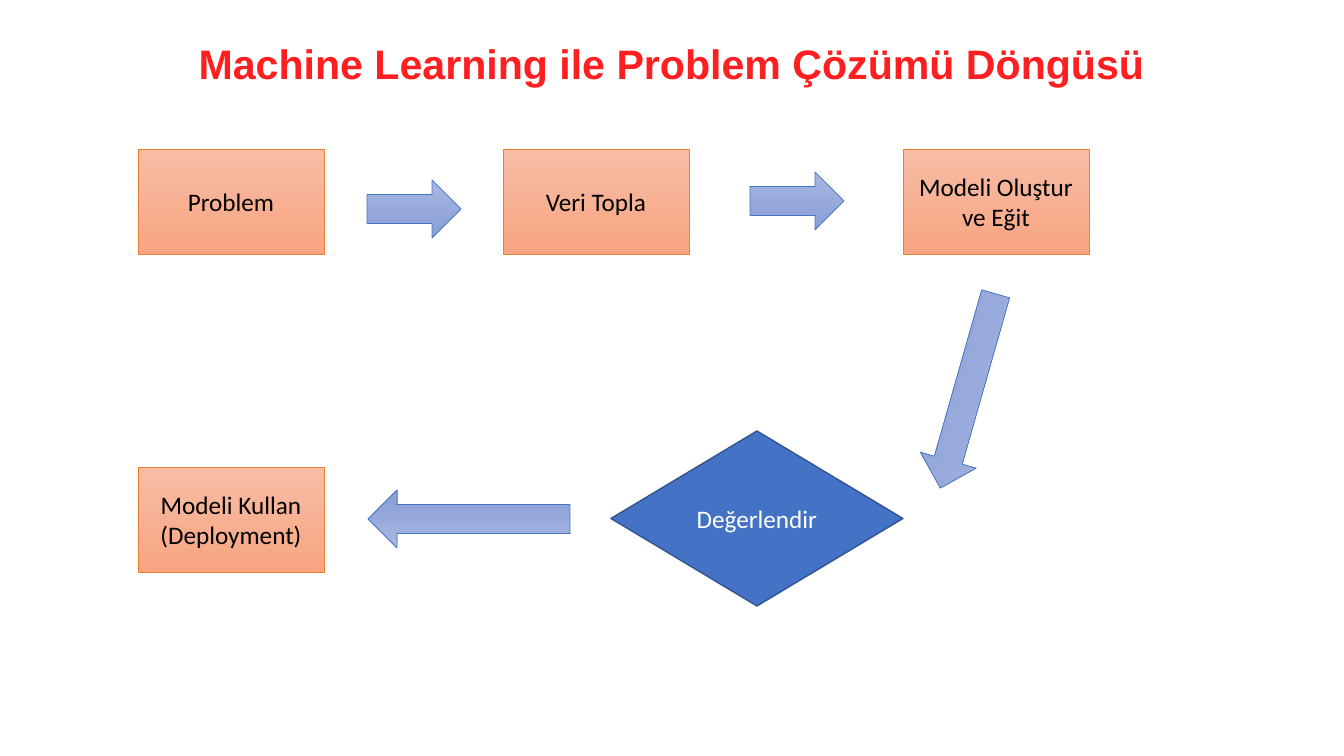
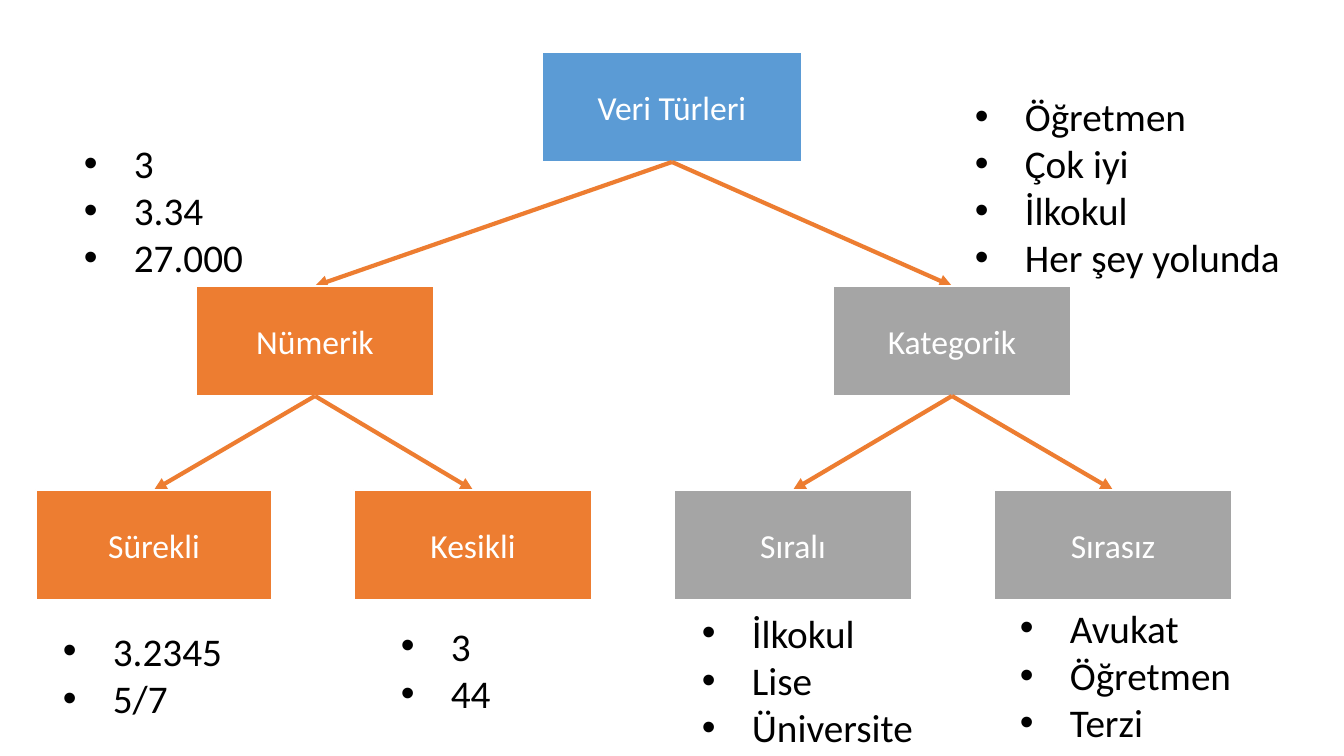
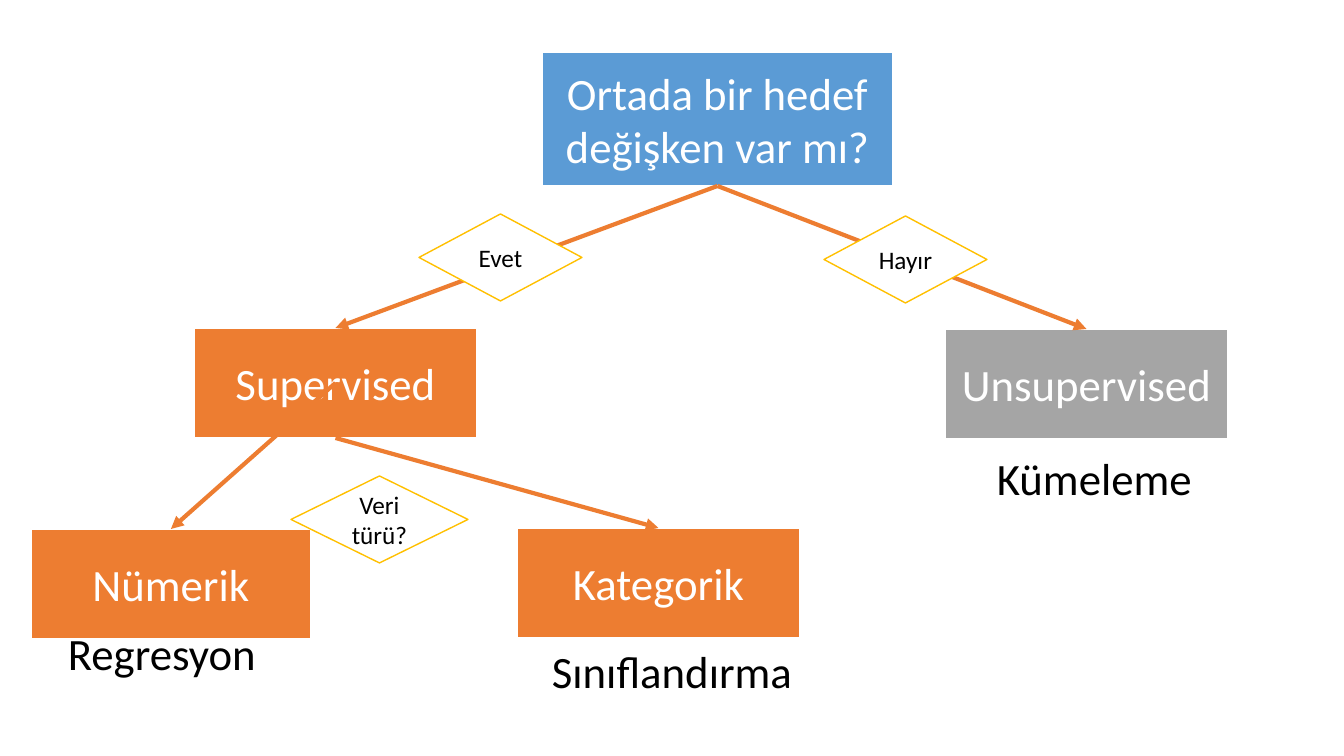
from collections import namedtuple

from lxml.etree import SubElement
from pptx import Presentation
from pptx.dml.color import RGBColor
from pptx.enum.shapes import MSO_CONNECTOR, MSO_SHAPE
from pptx.enum.text import MSO_ANCHOR, MSO_AUTO_SIZE, PP_ALIGN
from pptx.oxml.ns import qn
from pptx.util import Emu, Pt

PIXEL = 914400 / 100.8
BLACK, WHITE, RED = "000000", "FFFFFF", "FF1F20"
SKY, ORANGE, GREY, GOLD = "5B9BD5", "ED7D31", "A5A5A5", "FFC000"
BLUE, DARK_BLUE = "4472C4", "325491"
PEACH_FADE, BLUE_FADE = ("F7BDA5", "F8A582"), ("A8B7DF", "889ED7")
BULLET_INDENT = 50


class Box(namedtuple("Box", "left top width height")):
    """A rectangle in whole pixels."""

    @property
    def centre(self):
        """Return the middle point."""
        return self.left + self.width / 2, self.top + self.height / 2

    @property
    def top_middle(self):
        """Return the middle of the top edge."""
        return self.centre[0], self.top

    @property
    def bottom_middle(self):
        """Return the middle of the bottom edge."""
        return self.centre[0], self.top + self.height


def emu(*pixels):
    """Turn pixel lengths into EMU."""
    return [Emu(round(length * PIXEL)) for length in pixels]


def colour(value):
    """Turn a hex string into a colour."""
    return RGBColor.from_string(value)


def write(frame, text, size=18, font="Calibri", ink=BLACK, bold=False,
          align=PP_ALIGN.LEFT, anchor=MSO_ANCHOR.TOP, wrap=True,
          fit=MSO_AUTO_SIZE.NONE, spacing=None, bullets=False):
    """Write one paragraph for each line of the text."""
    frame.word_wrap = wrap
    frame.auto_size = fit
    frame.vertical_anchor = anchor
    for number, line in enumerate(text.split("\n")):
        para = frame.add_paragraph() if number else frame.paragraphs[0]
        para.alignment = align
        if spacing:
            para.line_spacing = spacing
        if bullets:
            add_bullet(para)
        span = para.add_run()
        span.text = line
        span.font.size = Pt(size)
        span.font.name = font
        span.font.bold = bold
        span.font.color.rgb = colour(ink)


def add_bullet(para):
    """Give a paragraph a round bullet and a hanging indent."""
    indent = emu(BULLET_INDENT)[0]
    properties = para._p.get_or_add_pPr()
    properties.set("marL", str(indent))
    properties.set("indent", str(-indent))
    SubElement(properties, qn("a:buFont")).set("typeface", "Arial")
    SubElement(properties, qn("a:buChar")).set("char", "•")


def add_figure(page, kind, box, fill, outline, weight, text="", rotation=0, **style):
    """Draw a preset shape with a plain or faded fill and centred text."""
    shape = page.shapes.add_shape(kind, *emu(*box))
    shape.shadow.inherit = False
    shape.rotation = rotation
    if isinstance(fill, str):
        shape.fill.solid()
        shape.fill.fore_color.rgb = colour(fill)
    else:
        shape.fill.gradient()
        shape.fill.gradient_angle = 270
        for stop, value in zip(shape.fill.gradient_stops, fill):
            stop.color.rgb = colour(value)
    shape.line.color.rgb = colour(outline)
    shape.line.width = Pt(weight)
    if text:
        write(shape.text_frame, text, align=PP_ALIGN.CENTER,
              anchor=MSO_ANCHOR.MIDDLE, **style)


def add_node(page, box, text, fill, size):
    """Draw one node of a tree."""
    add_figure(page, MSO_SHAPE.RECTANGLE, box, fill, WHITE, 1.5, text,
               size=size, ink=WHITE)


def add_branch(page, start, end):
    """Draw an arrow between two points."""
    branch = page.shapes.add_connector(MSO_CONNECTOR.STRAIGHT, *emu(*start, *end))
    branch.line.color.rgb = colour(ORANGE)
    branch.line.width = Pt(3)
    SubElement(branch.line._get_or_add_ln(), qn("a:tailEnd")).set("type", "triangle")
    SubElement(branch._element.spPr, qn("a:effectLst"))


def add_text(page, box, text, **style):
    """Place a text box that grows with its text."""
    frame = page.shapes.add_textbox(*emu(*box)).text_frame
    write(frame, text, fit=MSO_AUTO_SIZE.SHAPE_TO_FIT_TEXT, **style)


def add_title(page, box, text):
    """Move and format the title placeholder."""
    title = page.shapes.title
    title.left, title.top, title.width, title.height = emu(*box)
    write(title.text_frame, text, size=29.4, font="Arial", ink=RED, bold=True,
          align=PP_ALIGN.CENTER, anchor=MSO_ANCHOR.MIDDLE, spacing=0.7)


def build_cycle(deck):
    """Build the problem solving cycle."""
    page = deck.slides.add_slide(deck.slide_layouts[5])
    add_title(page, Box(168, 30, 1008, 79),
              "Machine Learning ile Problem Çözümü Döngüsü")
    steps = [(138, 149, "Problem"), (503, 149, "Veri Topla"),
             (903, 149, "Modeli Oluştur ve Eğit"),
             (138, 467, "Modeli Kullan\n(Deployment)")]
    for left, top, text in steps:
        add_figure(page, MSO_SHAPE.RECTANGLE, Box(left, top, 186, 105),
                   PEACH_FADE, ORANGE, 0.5, text)
    arrows = [(367, 180, 94, 0), (750, 172, 94, 0),
              (867, 362, 202, 105.9), (368, 490, 202, 180)]
    for left, top, width, rotation in arrows:
        add_figure(page, MSO_SHAPE.RIGHT_ARROW, Box(left, top, width, 58),
                   BLUE_FADE, BLUE, 0.5, rotation=rotation)
    add_figure(page, MSO_SHAPE.FLOWCHART_DECISION, Box(611, 431, 292, 175),
               BLUE, DARK_BLUE, 1, "Değerlendir", ink=WHITE)


def build_data_types(deck):
    """Build the tree of data types with its example lists."""
    page = deck.slides.add_slide(deck.slide_layouts[6])
    root = Box(542, 52, 260, 110)
    add_node(page, root, "Veri Türleri", SKY, 24)
    families = [
        (196, "Nümerik", ORANGE, [(36, 236, "Sürekli"), (354, 238, "Kesikli")]),
        (833, "Kategorik", GREY, [(674, 238, "Sıralı"), (994, 238, "Sırasız")]),
    ]
    for left, name, fill, kinds in families:
        family = Box(left, 286, 238, 110)
        add_branch(page, root.bottom_middle, family.top_middle)
        add_node(page, family, name, fill, 24)
        for kind_left, width, kind_name in kinds:
            kind = Box(kind_left, 490, width, 110)
            add_branch(page, family.bottom_middle, kind.top_middle)
            add_node(page, kind, kind_name, fill, 24)
    examples = [
        (Box(74, 134, 201, 152), "3\n3.34\n27.000"),
        (Box(965, 87, 331, 201), "Öğretmen\nÇok iyi\nİlkokul\nHer şey yolunda"),
        (Box(53, 622, 201, 105), "3.2345\n5/7"),
        (Box(391, 617, 201, 105), "3\n44"),
        (Box(692, 604, 253, 152), "İlkokul\nLise\nÜniversite"),
        (Box(1010, 599, 238, 152), "Avukat\nÖğretmen\nTerzi"),
    ]
    for box, text in examples:
        add_text(page, box, text, size=28, bullets=True)


def build_method_choice(deck):
    """Build the decision tree for choosing a method."""
    page = deck.slides.add_slide(deck.slide_layouts[6])
    target = Box(542, 52, 351, 134)
    supervised = Box(194, 328, 283, 110)
    unsupervised = Box(945, 329, 283, 110)
    categorical = Box(517, 528, 283, 110)
    numeric = Box(31, 529, 280, 110)
    nodes = [(target, "Ortada bir hedef değişken var mı?", SKY),
             (supervised, "Supervised", ORANGE),
             (unsupervised, "Unsupervised", GREY),
             (categorical, "Kategorik", ORANGE),
             (numeric, "Nümerik", ORANGE)]
    for box, text, fill in nodes:
        add_node(page, box, text, fill, 32)
    branches = [(target.bottom_middle, supervised),
                (target.bottom_middle, unsupervised),
                (supervised.centre, numeric),
                (supervised.bottom_middle, categorical)]
    for start, end in branches:
        add_branch(page, start, end.top_middle)
    decisions = [(Box(824, 216, 163, 87), "Hayır"),
                 (Box(291, 476, 177, 87), "Veri türü?"),
                 (Box(419, 214, 163, 87), "Evet")]
    for box, text in decisions:
        add_figure(page, MSO_SHAPE.FLOWCHART_DECISION, box, WHITE, GOLD, 1, text)
    methods = [(Box(58, 621, 210, 65), "Regresyon"),
               (Box(542, 639, 264, 65), "Sınıflandırma"),
               (Box(987, 446, 217, 65), "Kümeleme")]
    for box, text in methods:
        add_text(page, box, text, size=32, wrap=False)


def main():
    """Build and save the deck."""
    deck = Presentation()
    deck.slide_width, deck.slide_height = emu(1344, 756)
    build_cycle(deck)
    build_data_types(deck)
    build_method_choice(deck)
    deck.save("out.pptx")


main()
